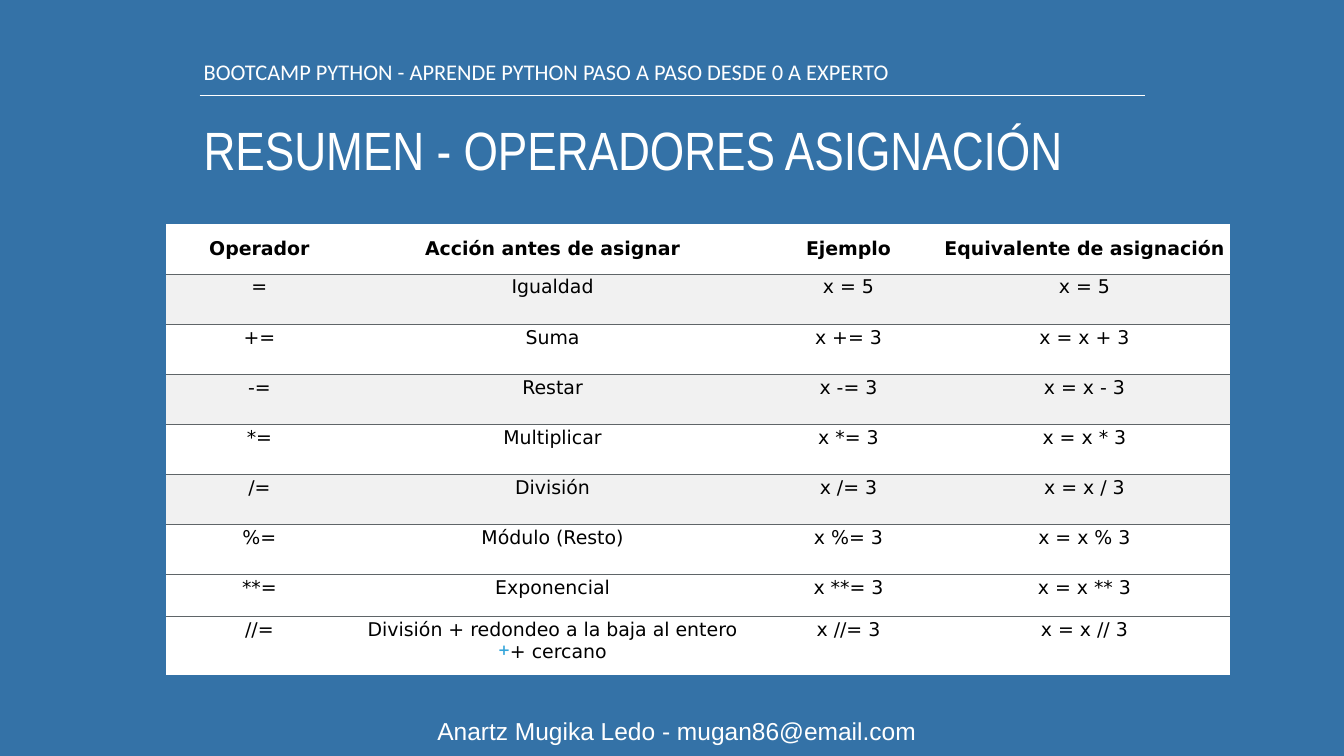
from lxml import etree
from pptx import Presentation
from pptx.dml.color import RGBColor
from pptx.enum.shapes import MSO_CONNECTOR
from pptx.enum.text import MSO_ANCHOR, PP_ALIGN
from pptx.oxml.ns import qn
from pptx.util import Inches, Pt

LEFT, CENTER = PP_ALIGN.LEFT, PP_ALIGN.CENTER
TOP, MIDDLE, BOTTOM = MSO_ANCHOR.TOP, MSO_ANCHOR.MIDDLE, MSO_ANCHOR.BOTTOM
STRAIGHT = MSO_CONNECTOR.STRAIGHT

COLORS = {
    "background": "3472A7",
    "white": "FFFFFF",
    "black": "000000",
    "band": "F1F1F1",
    "rule": "5F6568",
    "bullet": "34A5DA",
}

HEADINGS = ["Operador", "Acción antes de asignar", "Ejemplo", "Equivalente de asignación"]
OPERATORS = [
    ("=", "Igualdad", "x = 5", "x = 5"),
    ("+=", "Suma", "x += 3", "x = x + 3"),
    ("-=", "Restar", "x -= 3", "x = x - 3"),
    ("*=", "Multiplicar", "x *= 3", "x = x * 3"),
    ("/=", "División", "x /= 3", "x = x / 3"),
    ("%=", "Módulo (Resto)", "x %= 3", "x = x % 3"),
    ("**=", "Exponencial", "x **= 3", "x = x ** 3"),
    ("//=", "División + redondeo a la baja al entero\n+ cercano", "x //= 3", "x = x // 3"),
]
COLUMN_WIDTHS = [13.43, 30.61, 13.43, 21.68]
ROW_HEIGHTS = [6.63] * 7 + [5.47, 7.87]


class SlideBuilder:
    def __init__(self, deck):
        self.column = deck.slide_width / 100
        self.row = deck.slide_height / 100
        self.page = deck.slides.add_slide(deck.slide_layouts[6])
        fill = self.page.background.fill
        fill.solid()
        fill.fore_color.rgb = self.color("background")

    def color(self, name):
        return RGBColor.from_string(COLORS[name])

    def across(self, columns):
        return round(columns * self.column)

    def down(self, rows):
        return round(rows * self.row)

    def area(self, left, top, width, height):
        return self.across(left), self.down(top), self.across(width), self.down(height)

    def span(self, para, text, size, font, color, bold=False):
        span = para.add_run()
        span.text = text
        span.font.size = Pt(size)
        span.font.name = font
        span.font.bold = bold
        span.font.color.rgb = self.color(color)

    def text(self, place, text, size, font, spacing, anchor=TOP, align=LEFT):
        frame = self.page.shapes.add_textbox(*self.area(*place)).text_frame
        frame.word_wrap = True
        frame.vertical_anchor = anchor
        frame.margin_left = frame.margin_right = Inches(0.08)
        frame.margin_top = frame.margin_bottom = Inches(0.08)
        para = frame.paragraphs[0]
        para.alignment = align
        para.line_spacing = spacing
        self.span(para, text, size, font, "white")

    def line(self, left, right, top):
        rule = self.page.shapes.add_connector(
            STRAIGHT, self.across(left), self.down(top), self.across(right), self.down(top))
        rule.line.color.rgb = self.color("white")
        rule.line.width = Pt(2)
        etree.SubElement(rule._element.spPr, qn("a:effectLst"))

    def borders(self, cell, visible):
        properties = cell._tc.get_or_add_tcPr()
        for side in ("lnL", "lnR", "lnT", "lnB"):
            edge = etree.SubElement(properties, qn(f"a:{side}"), w=str(Pt(0.96)))
            if side in visible:
                paint = etree.SubElement(edge, qn("a:solidFill"))
                etree.SubElement(paint, qn("a:srgbClr"), val=COLORS["rule"])
            else:
                etree.SubElement(edge, qn("a:noFill"))

    def hang(self, para, bullet):
        properties = para._p.get_or_add_pPr()
        properties.set("marL", str(Inches(0.19)))
        properties.set("indent", str(-Inches(0.19)))
        if bullet:
            paint = etree.SubElement(properties, qn("a:buClr"))
            etree.SubElement(paint, qn("a:srgbClr"), val=COLORS["bullet"])
            etree.SubElement(properties, qn("a:buSzPct"), val="104000")
            etree.SubElement(properties, qn("a:buChar"), char="+")

    def cell(self, cell, text, header, first, band, visible):
        cell.margin_left = Inches(0.22 if first else 0.11)
        cell.margin_right = Inches(0.11)
        cell.margin_top = cell.margin_bottom = Inches(0.05)
        cell.vertical_anchor = MIDDLE if header else TOP
        self.borders(cell, visible)
        cell.fill.solid()
        cell.fill.fore_color.rgb = self.color("band" if band else "white")
        lines = text.split("\n")
        for index, words in enumerate(lines):
            para = cell.text_frame.add_paragraph() if index else cell.text_frame.paragraphs[0]
            para.alignment = CENTER
            if len(lines) > 1:
                self.hang(para, bullet=index > 0)
            self.span(para, words, 27, "DejaVu Sans", "black", header)

    def table(self, left, top, records, widths, heights):
        place = self.area(left, top, sum(widths), sum(heights))
        table = self.page.shapes.add_table(len(records), len(widths), *place).table
        for column, width in zip(table.columns, widths):
            column.width = self.across(width)
        for row, height in zip(table.rows, heights):
            row.height = self.down(height)
        for r, record in enumerate(records):
            visible = {"lnT"} if r else set()
            if r < len(records) - 1:
                visible.add("lnB")
            for c, text in enumerate(record):
                self.cell(table.cell(r, c), text, r == 0, c == 0, r in (1, 3, 5), visible)


def main():
    deck = Presentation()
    deck.slide_width, deck.slide_height = Inches(26.66), Inches(15)
    slide = SlideBuilder(deck)
    slide.line(14.85, 85.18, 12.67)
    slide.text((0.79, 95.27, 99.14, 3.73), "Anartz Mugika Ledo - mugan86@email.com",
               35, "Arial", 0.7, BOTTOM, CENTER)
    slide.text((14.85, 16.6, 77.12, 8.2), "RESUMEN - OPERADORES ASIGNACIÓN",
               77, "Arial Narrow", 0.8)
    slide.text((14.85, 7.93, 64.48, 3.87),
               "BOOTCAMP PYTHON - APRENDE PYTHON PASO A PASO DESDE 0 A EXPERTO",
               32, "Calibri", 0.8, BOTTOM)
    slide.table(12.38, 29.6, [HEADINGS, *OPERATORS], COLUMN_WIDTHS, ROW_HEIGHTS)
    deck.save("out.pptx")


if __name__ == "__main__":
    main()
